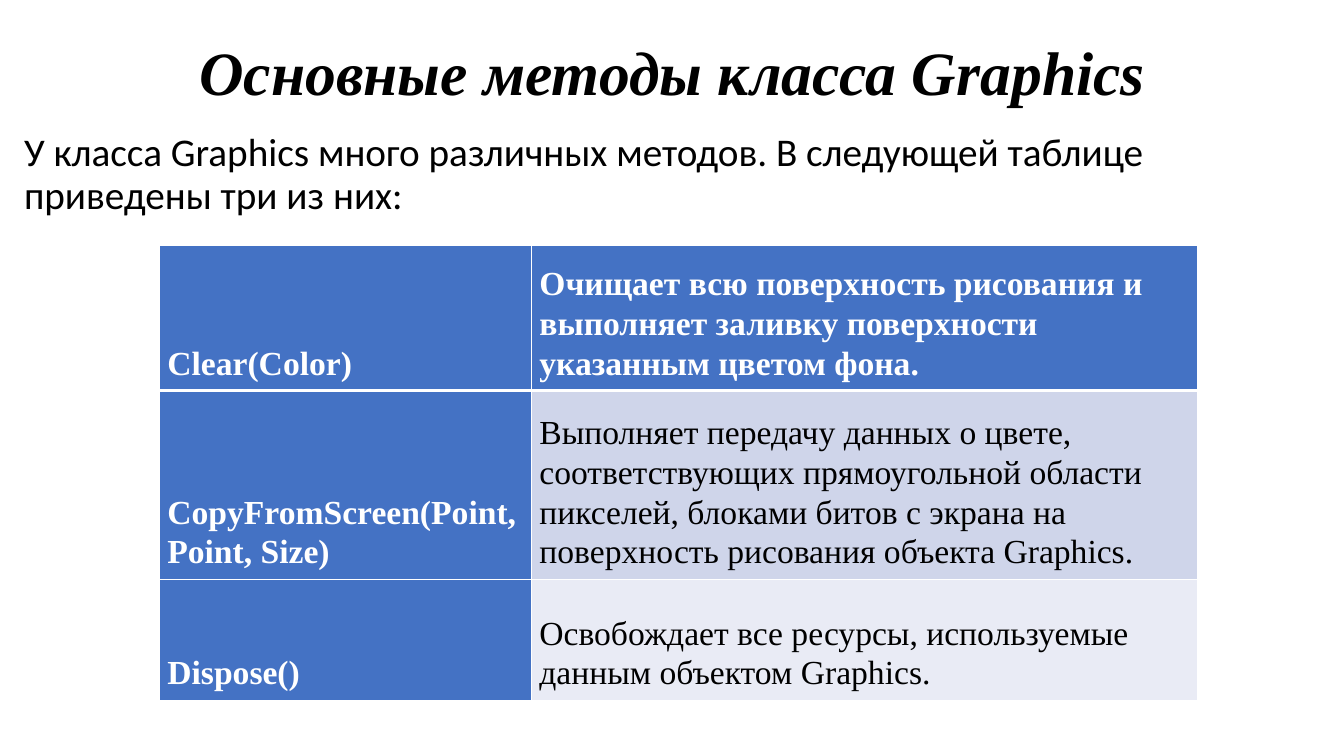
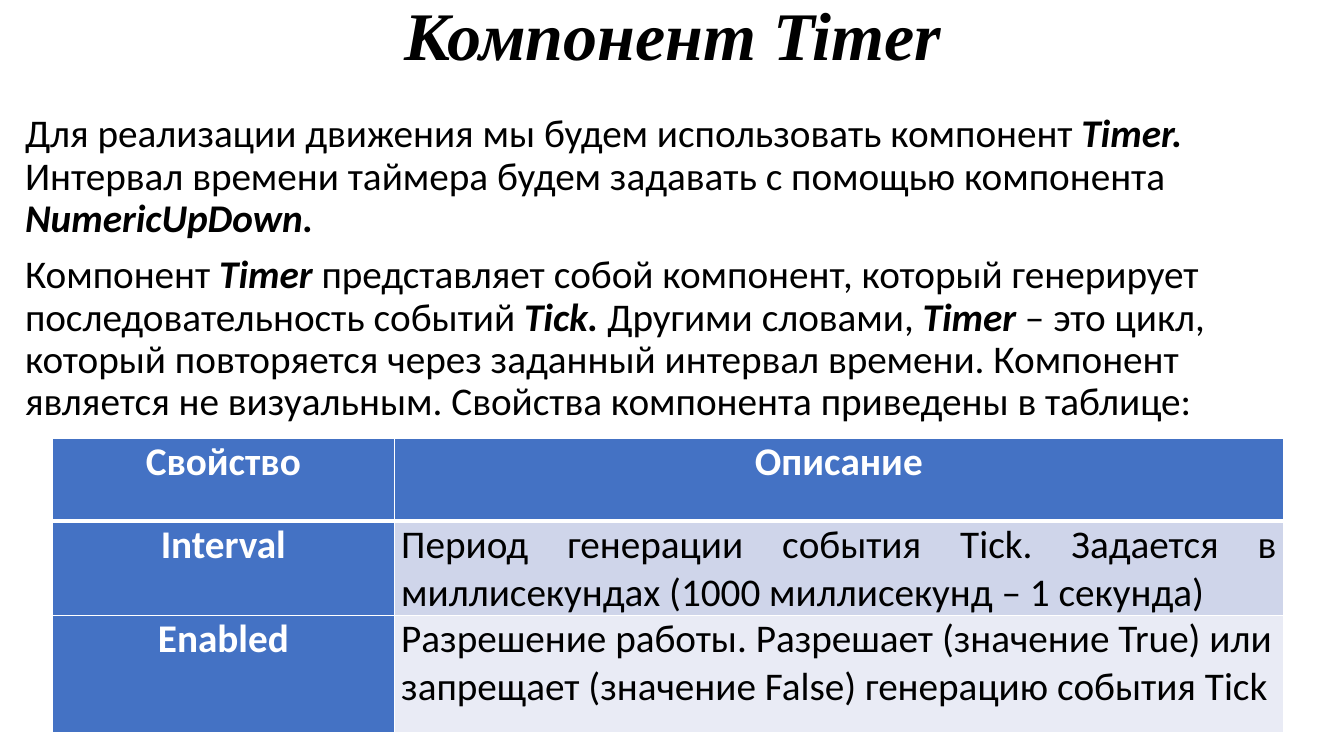
from lxml.etree import SubElement
from pptx import Presentation
from pptx.dml.color import RGBColor
from pptx.enum.text import MSO_ANCHOR as Anchor, PP_ALIGN as Align
from pptx.oxml.ns import qn
from pptx.util import Inches, Pt

SERIF, SANS = "Times New Roman", "Calibri"
BLACK, WHITE, BLUE = "000000", "FFFFFF", "4472C4"
BANDS = ["CFD5EA", "E9EBF5"]


def rgb(value):
    return RGBColor.from_string(value)


def apply(target, values):
    for name, value in values.items():
        setattr(target, name, value)


class Deck:
    """Holds the shared style and the slide being filled."""

    def __init__(self):
        self.show = Presentation()
        apply(self.show, {"slide_width": Inches(13.33), "slide_height": Inches(7.5)})
        self.slide = None

    def new_slide(self):
        self.slide = self.show.slides.add_slide(self.show.slide_layouts[6])

    def add_wording(self, paragraph, wording, color, emphasis=None, layout=None, **font):
        apply(paragraph, layout or {})
        for number, piece in enumerate(wording.split("*")):
            if piece:
                run = paragraph.add_run()
                run.text = piece
                apply(run.font, font)
                if number % 2:
                    apply(run.font, emphasis)
                run.font.color.rgb = rgb(color)

    def frame(self, place, anchor):
        frame = self.slide.shapes.add_textbox(*map(Inches, place)).text_frame
        apply(frame, {"word_wrap": True, "vertical_anchor": anchor})
        return frame

    def title(self, wording, height, size):
        frame = self.frame((0.92, 0.02, 11.5, height), Anchor.MIDDLE)
        self.add_wording(frame.paragraphs[0], wording, BLACK,
                         layout={"alignment": Align.CENTER, "line_spacing": 0.9},
                         name=SERIF, size=Pt(size), bold=True, italic=True)

    def body(self, place, paragraphs):
        frame = self.frame(place, Anchor.TOP)
        for number, wording in enumerate(paragraphs):
            paragraph = frame.add_paragraph() if number else frame.paragraphs[0]
            self.add_wording(paragraph, wording, BLACK, {"bold": True, "italic": True},
                             {"line_spacing": 0.9, "space_before": Pt(10 if number else 0)},
                             name=SANS, size=Pt(28))

    def borders(self, cell, row):
        widths = {"a:lnL": 1, "a:lnR": 1, "a:lnT": 3 if row == 1 else 1,
                  "a:lnB": 3 if row == 0 else 1}
        properties = cell._tc.get_or_add_tcPr()
        for tag, width in widths.items():
            line = SubElement(properties, qn(tag), w=str(Pt(width)))
            paint = SubElement(line, qn("a:solidFill"))
            SubElement(paint, qn("a:srgbClr"), val=WHITE)

    def table(self, corner, widths, heights, rows, cell_format, font, layouts):
        size = sum(widths), sum(heights)
        table = self.slide.shapes.add_table(
            len(rows), len(widths), *map(Inches, corner + size)).table
        apply(table, {"first_col": True, "horz_banding": False})
        for column, width in zip(table.columns, widths):
            column.width = Inches(width)
        for row, height in zip(table.rows, heights):
            row.height = Inches(height)
        for r, row in enumerate(rows):
            for c, wording in enumerate(row):
                cell = table.cell(r, c)
                heading = r == 0 or c == 0
                apply(cell, cell_format)
                self.borders(cell, r)
                cell.fill.solid()
                cell.fill.fore_color.rgb = rgb(BLUE if heading else BANDS[(r - 1) % 2])
                self.add_wording(cell.text_frame.paragraphs[0], wording,
                                 WHITE if heading else BLACK, layout=layouts[r][c],
                                 bold=heading, **font)


def margins(side, edge):
    return {"margin_left": Inches(side), "margin_right": Inches(side),
            "margin_top": Inches(edge), "margin_bottom": Inches(edge)}


def main():
    deck = Deck()

    deck.new_slide()
    deck.title("Основные методы класса Graphics", 1.45, 44)
    deck.body((0.14, 1.27, 13.2, 6.03), [
        "У класса Graphics много различных методов. "
        "В следующей таблице приведены три из них:"])
    methods = [
        ("Clear(Color)",
         "Очищает всю поверхность рисования и выполняет заливку поверхности "
         "указанным цветом фона."),
        ("CopyFromScreen(Point, Point, Size)",
         "Выполняет передачу данных о цвете, соответствующих прямоугольной области "
         "пикселей, блоками битов с экрана на поверхность рисования объекта Graphics."),
        ("Dispose()",
         "Освобождает все ресурсы, используемые данным объектом Graphics."),
    ]
    deck.table((1.58, 2.43), (3.69, 6.61), (1.17, 1.85, 1.2), methods,
               {"vertical_anchor": Anchor.BOTTOM, **margins(0.08, 0.08)},
               {"name": SERIF, "size": Pt(24)},
               [[{"line_spacing": 1.07}] * 2] * 3)

    deck.new_slide()
    deck.title("Компонент Timer", 0.72, 48.6)
    deck.body((0.15, 1.08, 13.03, 6.26), [
        "Для реализации движения мы будем использовать компонент *Timer. *"
        "Интервал времени таймера будем задавать с помощью компонента "
        "*NumericUpDown.*",
        "Компонент *Timer* представляет собой компонент, который генерирует "
        "последовательность событий *Tick.* Другими словами, *Timer* – это цикл, "
        "который повторяется через заданный интервал времени. Компонент является "
        "не визуальным. Свойства компонента приведены в таблице:"])
    properties = [
        ("Свойство", "Описание"),
        ("Interval", "Период генерации события Tick. Задается в миллисекундах "
                     "(1000 миллисекунд – 1 секунда)"),
        ("Enabled", "Разрешение работы. Разрешает (значение True) или запрещает "
                    "(значение False) генерацию события Tick"),
    ]
    centred, justified, left = (
        {"alignment": side} for side in (Align.CENTER, Align.JUSTIFY, Align.LEFT))
    deck.table((0.52, 4.35), (3.39, 8.82), (0.82, 0.86, 1.16), properties,
               {"vertical_anchor": Anchor.TOP, **margins(0.07, 0)},
               {"name": SANS, "size": Pt(28)},
               [[centred, second] for second in (centred, justified, left)])

    deck.show.save("out.pptx")


if __name__ == "__main__":
    main()
